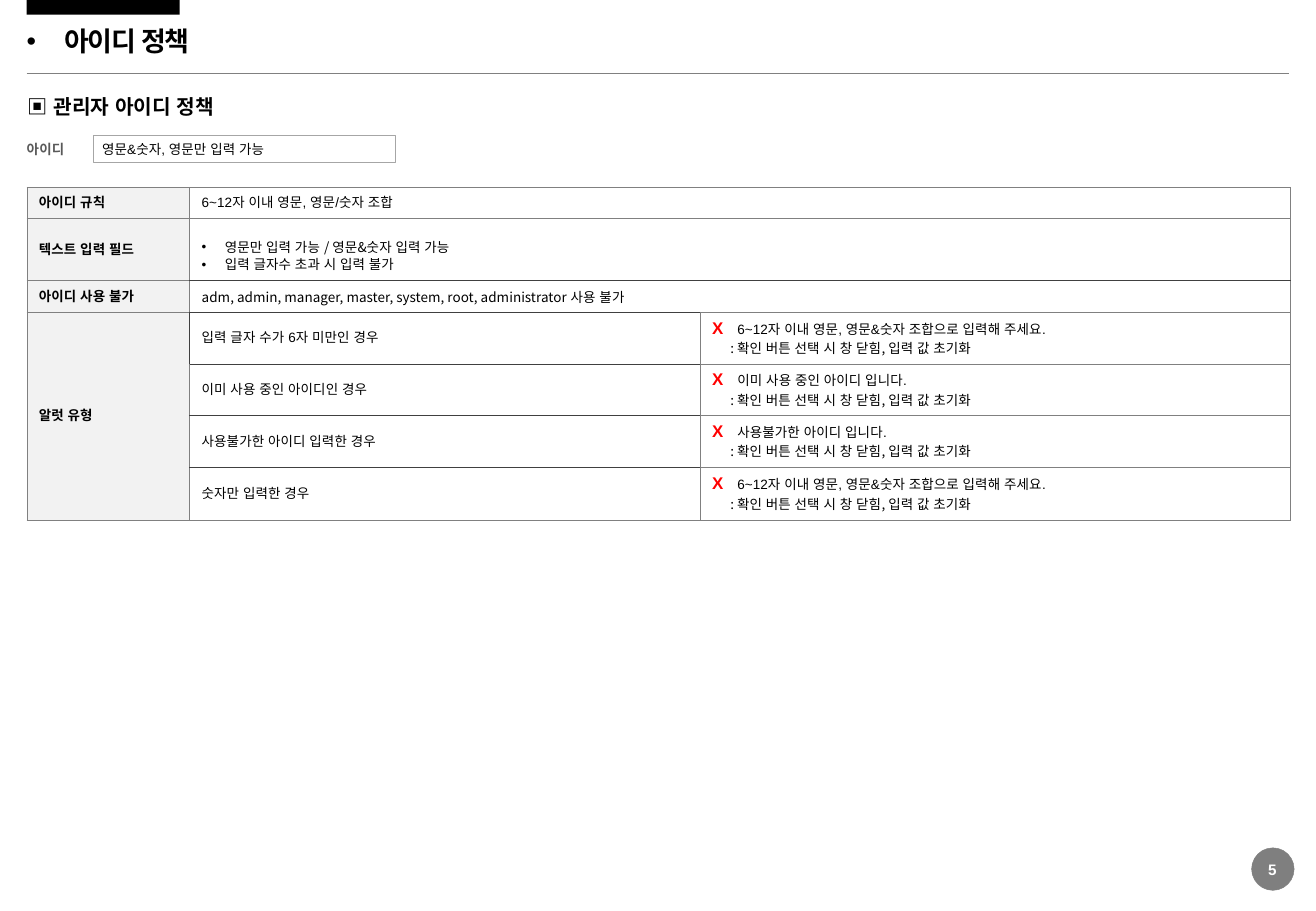
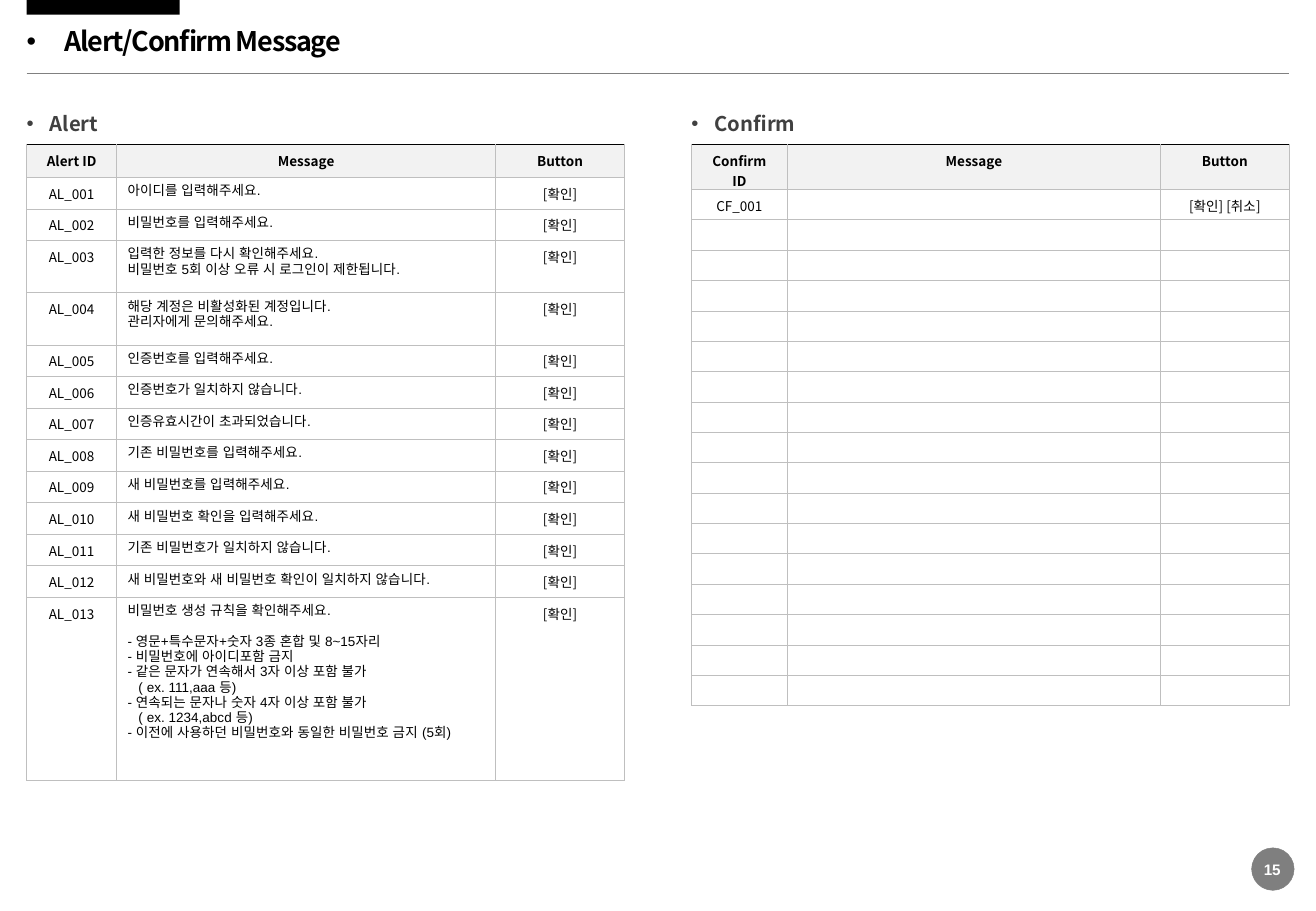
"""Build two policy slides: the ID rules and the alert and confirm messages."""
from dataclasses import dataclass, replace
from typing import Any

from lxml import etree
from pptx import Presentation
from pptx.dml.color import RGBColor
from pptx.enum.shapes import MSO_CONNECTOR, MSO_SHAPE
from pptx.enum.text import MSO_ANCHOR, PP_ALIGN
from pptx.oxml.ns import qn
from pptx.util import Inches, Pt

LEFT, CENTER = PP_ALIGN.LEFT, PP_ALIGN.CENTER
TOP, MIDDLE = MSO_ANCHOR.TOP, MSO_ANCHOR.MIDDLE
RECTANGLE, OVAL = MSO_SHAPE.RECTANGLE, MSO_SHAPE.OVAL
STRAIGHT = MSO_CONNECTOR.STRAIGHT

SANS, KOREAN = "Arial", "Noto Sans CJK KR"
BLACK, WHITE, RED = "000000", "FFFFFF", "FF0000"
GRAY, DARK, SILVER, PALE = "808080", "404040", "BFBFBF", "F2F2F2"
MARGIN, CONTENT_WIDTH = 0.22, 10.39
EDGES = {"l": "a:lnL", "r": "a:lnR", "t": "a:lnT", "b": "a:lnB"}


@dataclass(frozen=True)
class Style:
    """Font settings of a run."""

    size: float = 8
    font: str = SANS
    color: str = BLACK
    bold: bool = False
    tracking: float = 0


@dataclass(frozen=True)
class Line:
    """A paragraph made of (text, style) runs."""

    runs: tuple[tuple[str, Style], ...]
    align: Any = LEFT
    left: float = 0
    hanging: float = 0
    bullet: bool = False
    spacing: float = 1
    before: float = 0


@dataclass(frozen=True)
class Cell:
    """The content and look of a table cell."""

    lines: tuple[Line, ...] = ()
    fill: str | None = None
    anchor: Any = TOP
    inset: float = 0.1


@dataclass(frozen=True)
class Border:
    """The colour and width of a cell edge."""

    color: str
    width: float


BODY = Style()
BODY_KOREAN = Style(font=KOREAN)
STRONG = Style(font=KOREAN, bold=True)
TITLE = Style(16, KOREAN, BLACK, True, -0.7)
SECTION = Style(12, KOREAN, BLACK, True)
PAGE = Style(9, SANS, WHITE, True)
MARK = Style(10, SANS, RED, True, 8.4)


def rgb(color: str) -> RGBColor:
    """Turn a hex string into a colour."""
    return RGBColor.from_string(color)


def line(text: str, style: Style = BODY, **options: Any) -> Line:
    """Make a paragraph with one run."""
    return Line(((text, style),), **options)


def add_run(paragraph: Any, text: str, style: Style) -> None:
    """Add one styled run to a paragraph."""
    run = paragraph.add_run()
    run.text = text
    formats = {"size": Pt(style.size), "name": style.font, "bold": style.bold}
    for name, value in formats.items():
        setattr(run.font, name, value)
    run.font.color.rgb = rgb(style.color)
    properties = run._r.get_or_add_rPr()
    etree.SubElement(properties, qn("a:ea")).set("typeface", SANS)
    if style.tracking:
        properties.set("spc", str(round(style.tracking * 100)))


def write_line(paragraph: Any, content: Line) -> None:
    """Fill a paragraph with its layout and runs."""
    properties = paragraph._p.get_or_add_pPr()
    properties.set("marL", str(Inches(content.left)))
    properties.set("indent", str(-Inches(content.hanging)))
    if content.bullet:
        etree.SubElement(properties, qn("a:buFont")).set("typeface", SANS)
        etree.SubElement(properties, qn("a:buChar")).set("char", "•")
    else:
        etree.SubElement(properties, qn("a:buNone"))
    formats = {"alignment": content.align, "line_spacing": content.spacing,
               "space_before": Pt(content.before)}
    for name, value in formats.items():
        setattr(paragraph, name, value)
    for text, style in content.runs:
        for index, part in enumerate(text.split("\n")):
            if index:
                paragraph.add_line_break()
            add_run(paragraph, part, style)


def write_lines(frame: Any, lines: tuple[Line, ...]) -> None:
    """Write paragraphs into a text frame."""
    for index, content in enumerate(lines):
        write_line(frame.add_paragraph() if index else frame.paragraphs[0], content)


def set_frame(frame: Any, anchor: Any, inset: float) -> None:
    """Set wrapping, anchor and margins of a text frame."""
    formats = {"word_wrap": True, "vertical_anchor": anchor}
    formats |= {f"margin_{side}": Inches(inset) for side in ("left", "right", "top", "bottom")}
    for name, value in formats.items():
        setattr(frame, name, value)


def add_text(slide: Any, box: tuple[float, ...], content: Line, anchor: Any = TOP) -> None:
    """Add a text box with one paragraph and no margins."""
    frame = slide.shapes.add_textbox(*map(Inches, box)).text_frame
    set_frame(frame, anchor, 0)
    write_lines(frame, (content,))


def add_box(slide: Any, kind: Any, box: tuple[float, ...], fill: str, outline: str | None) -> Any:
    """Add a filled shape with a hairline or no outline."""
    shape = slide.shapes.add_shape(kind, *map(Inches, box))
    shape.shadow.inherit = False
    shape.fill.solid()
    shape.fill.fore_color.rgb = rgb(fill)
    if outline:
        shape.line.color.rgb = rgb(outline)
        shape.line.width = Pt(0.25)
    else:
        shape.line.fill.background()
    return shape


def add_edge(cell: Any, edge: str, border: Border) -> None:
    """Draw one edge of a table cell."""
    element = etree.SubElement(cell._tc.get_or_add_tcPr(), qn(EDGES[edge]),
                               w=str(Pt(border.width)))
    fill = etree.SubElement(element, qn("a:solidFill"))
    etree.SubElement(fill, qn("a:srgbClr")).set("val", border.color)


def add_table(slide: Any, origin: tuple[float, float], widths: list[float],
              heights: list[float], rows: list[list[Cell]], border: Border,
              special: dict[tuple[int, int], str], special_border: Border) -> Any:
    """Add a table whose special edges differ from its common border."""
    size = (sum(widths), sum(heights))
    frame = slide.shapes.add_table(len(rows), len(widths), *map(Inches, origin + size))
    table = frame.table
    table.first_row = table.horz_banding = False
    for column, width in zip(table.columns, widths):
        column.width = Inches(width)
    for row, height in zip(table.rows, heights):
        row.height = Inches(height)
    for row_index, row in enumerate(rows):
        for column_index, content in enumerate(row):
            cell = table.cell(row_index, column_index)
            marked = special.get((row_index, column_index), "")
            for edge in EDGES:
                add_edge(cell, edge, special_border if edge in marked else border)
            if content.fill:
                cell.fill.solid()
                cell.fill.fore_color.rgb = rgb(content.fill)
            else:
                cell.fill.background()
            cell.vertical_anchor = content.anchor
            cell.margin_left = cell.margin_right = Inches(content.inset)
            write_lines(cell.text_frame, content.lines)
            if not content.lines:
                paragraph = cell.text_frame.paragraphs[0]._p
                etree.SubElement(paragraph, qn("a:endParaRPr")).set("sz", "800")
    return table


def add_page(presentation: Any, title: str, number: int) -> Any:
    """Add a slide with the shared band, rule, title and page number."""
    slide = presentation.slides.add_slide(presentation.slide_layouts[6])
    add_box(slide, RECTANGLE, (MARGIN, 0, 1.26, 0.12), BLACK, None)
    rule = slide.shapes.add_connector(
        STRAIGHT, *map(Inches, (MARGIN, 0.6, MARGIN + CONTENT_WIDTH, 0.6)))
    rule.line.color.rgb = rgb(GRAY)
    rule.line.width = Pt(0.25)
    etree.SubElement(rule._element.spPr, qn("a:effectLst"))
    badge = add_box(slide, OVAL, (10.3, 6.98, 0.35, 0.35), BLACK, GRAY)
    color = badge._element.spPr.find(qn("a:solidFill"))[0]
    etree.SubElement(color, qn("a:alpha")).set("val", "50000")
    add_text(slide, (MARGIN, 0.2, 6.5, 0.31),
             line(title, TITLE, left=0.31, hanging=0.31, bullet=True, spacing=0.9), MIDDLE)
    add_text(slide, (10.39, 7.08, 0.16, 0.15), line(str(number), PAGE, align=CENTER), MIDDLE)
    return slide


def build_id_policy(presentation: Any) -> None:
    """Build the slide with the administrator ID rules."""
    slide = add_page(presentation, "아이디 정책", 5)

    def label(text: str) -> Cell:
        return Cell((line(text, STRONG),), PALE, MIDDLE)

    def value(*lines: Line) -> Cell:
        return Cell(lines, WHITE, MIDDLE)

    def alert(text: str) -> Cell:
        return value(Line((("X", MARK), (text, BODY))),
                     line(": 확인 버튼 선택 시 창 닫힘, 입력 값 초기화", BODY_KOREAN, left=0.15))

    combination = "6~12자 이내 영문, 영문&숫자 조합으로 입력해 주세요."
    cases = [("입력 글자 수가 6자 미만인 경우", combination),
             ("이미 사용 중인 아이디인 경우", "이미 사용 중인 아이디 입니다."),
             ("사용불가한 아이디 입력한 경우", "사용불가한 아이디 입니다."),
             ("숫자만 입력한 경우", combination)]
    field = line("영문만 입력 가능 / 영문&숫자 입력 가능", BODY_KOREAN,
                 left=0.19, hanging=0.19, bullet=True, spacing=1.5)
    limit = replace(field, runs=(("입력 글자수 초과 시 입력 불가", BODY_KOREAN),), spacing=1)
    reserved = "adm, admin, manager, master, system, root, administrator 사용 불가"
    rows = [[label("아이디 규칙"), value(line("6~12자 이내 영문, 영문/숫자 조합")), value()],
            [label("텍스트 입력 필드"), value(field, limit), value()],
            [label("아이디 사용 불가"), value(line(reserved, BODY_KOREAN)), value()]]
    rows += [[Cell((), PALE, MIDDLE) if index else label("알럿 유형"),
              value(line(case)), alert(message)]
             for index, (case, message) in enumerate(cases)]
    dark_edges = {(1, 1): "b", (1, 2): "b", (2, 1): "tb", (2, 2): "t", (3, 1): "lrtb",
                  (4, 1): "tb", (5, 1): "tb", (6, 1): "t"}
    table = add_table(slide, (MARGIN, 1.54), [1.34, 4.2, 4.86],
                      [0.26, 0.51, 0.26, 0.43, 0.42, 0.43, 0.43], rows,
                      Border(GRAY, 0.25), dark_edges, Border(DARK, 0.25))
    for index in range(3):
        table.cell(index, 1).merge(table.cell(index, 2))
    table.cell(3, 0).merge(table.cell(6, 0))

    sample = add_box(slide, RECTANGLE, (0.77, 1.11, 2.48, 0.23), WHITE, "A6A6A6")
    set_frame(sample.text_frame, MIDDLE, 0.07)
    write_lines(sample.text_frame, (line("영문&숫자, 영문만 입력 가능"),))
    add_text(slide, (MARGIN, 1.16, 0.35, 0.13), line("아이디", Style(color="595959", bold=True)))
    add_text(slide, (0.23, 0.8, 10.38, 0.23), line("▣ 관리자 아이디 정책", SECTION, spacing=0.9))


def build_messages(presentation: Any) -> None:
    """Build the slide with the alert and confirm message tables."""
    slide = add_page(presentation, "Alert/Confirm Message", 15)
    alerts = ["아이디를 입력해주세요.", "비밀번호를 입력해주세요.",
              "입력한 정보를 다시 확인해주세요.\n비밀번호 5회 이상 오류 시 로그인이 제한됩니다.",
              "해당 계정은 비활성화된 계정입니다.\n관리자에게 문의해주세요.",
              "인증번호를 입력해주세요.", "인증번호가 일치하지 않습니다.",
              "인증유효시간이 초과되었습니다.", "기존 비밀번호를 입력해주세요.",
              "새 비밀번호를 입력해주세요.", "새 비밀번호 확인을 입력해주세요.",
              "기존 비밀번호가 일치하지 않습니다.",
              "새 비밀번호와 새 비밀번호 확인이 일치하지 않습니다.",
              "비밀번호 생성 규칙을 확인해주세요."]
    rules = ["영문+특수문자+숫자 3종 혼합 및 8~15자리", "비밀번호에 아이디포함 금지",
             "같은 문자가 연속해서 3자 이상 포함 불가\n( ex. 111,aaa 등)",
             "연속되는 문자나 숫자 4자 이상 포함 불가\n( ex. 1234,abcd 등)",
             "이전에 사용하던 비밀번호와 동일한 비밀번호 금지 (5회)"]
    rule_lines = tuple(line(f"- {rule}", left=0.09, hanging=0.09, before=0 if index else 9.2)
                       for index, rule in enumerate(rules))

    def centered(text: str, style: Style = BODY_KOREAN, **options: Any) -> Cell:
        return Cell((line(text, style, align=CENTER),), **options)

    alert_rows = [[centered(f"AL_{number:03}"), Cell((line(text),), inset=0.09),
                   centered("[확인]")] for number, text in enumerate(alerts, 1)]
    alert_rows[-1][1] = Cell((line(alerts[-1]),) + rule_lines, inset=0.09)
    alert_heights = [0.27] + [0.43 if "\n" in text else 0.26 for text in alerts[:-1]] + [1.51]
    confirm_rows = [[centered("CF_001"), Cell(), centered("[확인] [취소]")]]
    confirm_rows += [[Cell()] * 3 for _ in range(16)]
    confirm_heights = [0.37] + [0.25] * len(confirm_rows)
    for name, left, widths, heights, body in (
            ("Alert", MARGIN, [0.74, 3.12, 1.06], alert_heights, alert_rows),
            ("Confirm", 5.69, [0.79, 3.07, 1.06], confirm_heights, confirm_rows)):
        header = [centered(text, STRONG, fill=PALE, inset=0.11)
                  for text in (f"{name} ID", "Message", "Button")]
        add_table(slide, (left, 1.19), widths, heights, [header] + body, Border(SILVER, 0.5),
                  {(0, column): "t" for column in range(3)}, Border(BLACK, 1))
        add_text(slide, (left, 0.92, 0.91, 0.2),
                 line(name, replace(SECTION, color=DARK), left=0.19, hanging=0.19, bullet=True))


def main() -> None:
    """Create and save the presentation."""
    presentation = Presentation()
    presentation.slide_width, presentation.slide_height = Inches(10.83), Inches(7.5)
    build_id_policy(presentation)
    build_messages(presentation)
    presentation.save("out.pptx")


if __name__ == "__main__":
    main()
